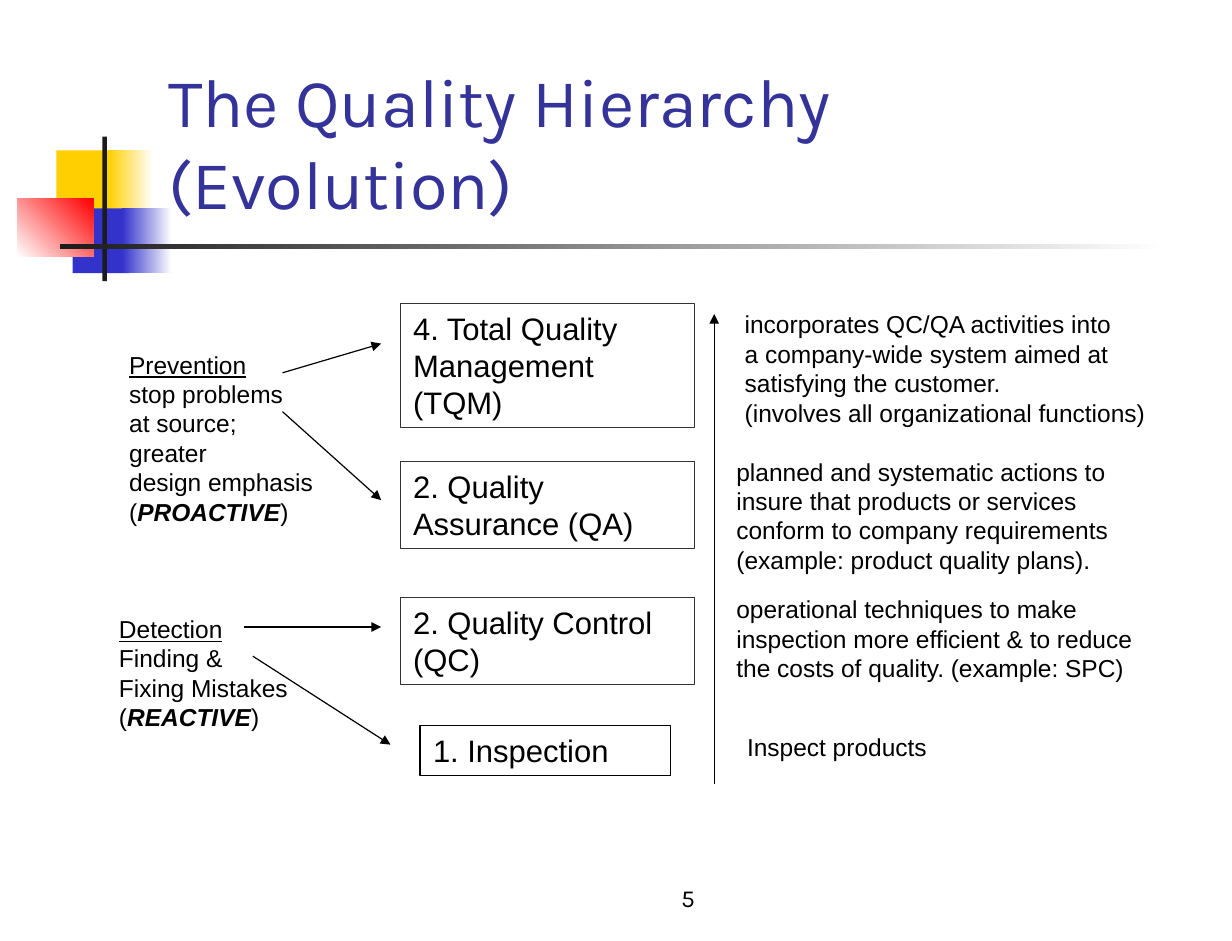
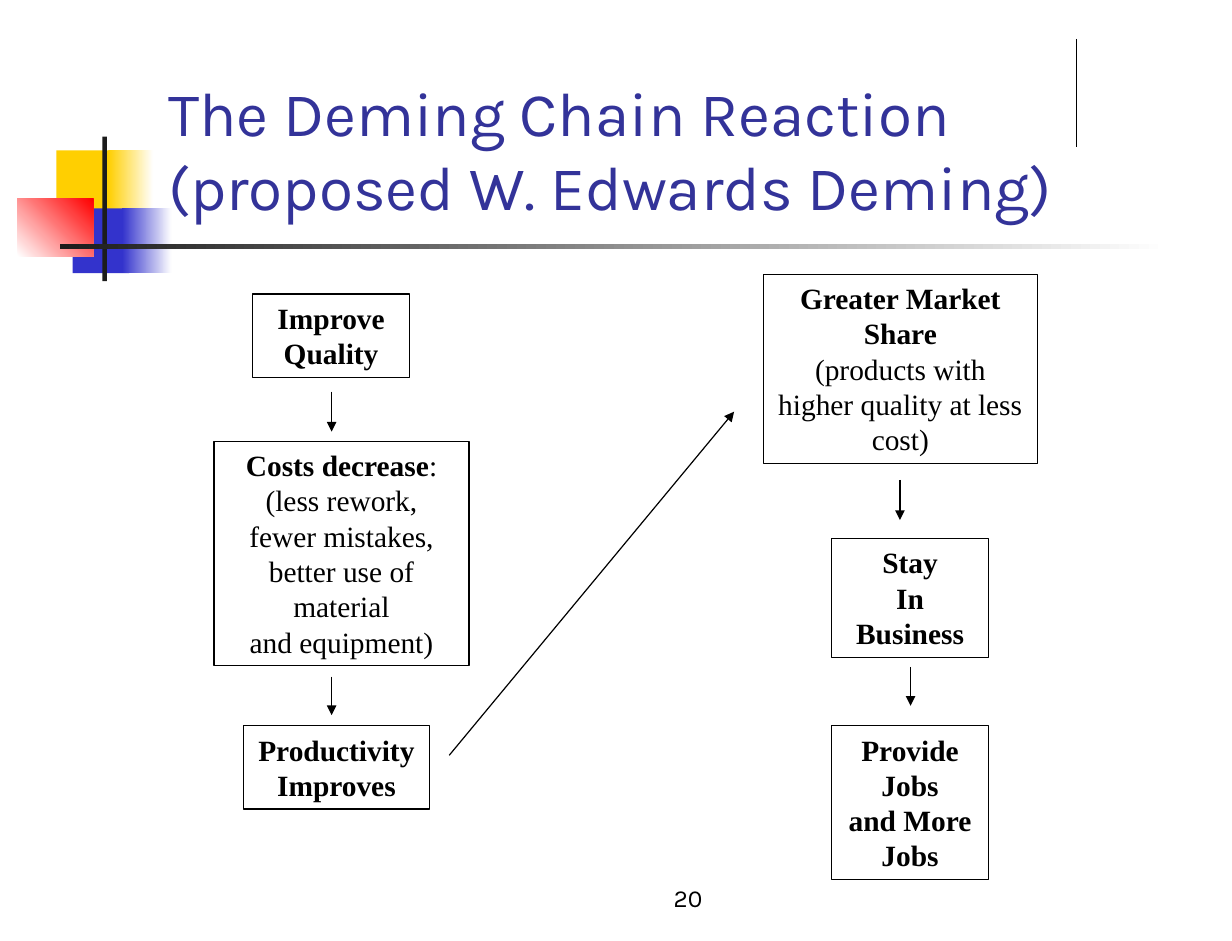
"""Build two slides on quality management: the quality hierarchy and the Deming chain."""
import dataclasses

import lxml.etree
import pptx
import pptx.dml.color
import pptx.enum.shapes
import pptx.enum.text
import pptx.oxml.ns
import pptx.util

Cm = pptx.util.Cm
ALIGN = pptx.enum.text.PP_ALIGN
ANCHOR = pptx.enum.text.MSO_ANCHOR
FIT = pptx.enum.text.MSO_AUTO_SIZE


@dataclasses.dataclass(frozen=True)
class Theme:
    """Colours, fonts and type sizes of the deck."""
    ink: str = "000000"
    outline: str = "333333"
    heading: str = "333399"
    bar: str = "1C1C1C"
    yellow: str = "FFCF01"
    blue: str = "3333CC"
    red: str = "FF0000"
    paper: str = "FFFFFF"
    heading_font: str = "Karla"
    body_font: str = "Arial"
    chain_font: str = "Times New Roman"
    hierarchy_title_size: int = 42
    chain_title_size: int = 38
    note_size: int = 15
    stage_size: int = 19
    chain_size: int = 18
    line_width: float = 0.75


@dataclasses.dataclass(frozen=True)
class Box:
    """A rectangle in centimetres."""
    left: float
    top: float
    width: float
    height: float

    def inner(self, x, y, width, height):
        """Return a box placed relative to this one."""
        return Box(self.left + x, self.top + y, width, height)

    def point(self, x, y):
        """Return a point placed relative to this box."""
        return self.left + x, self.top + y

    def lengths(self):
        """Return the four lengths for python-pptx."""
        return [Cm(value) for value in dataclasses.astuple(self)]


THEME = Theme()
PAGE = Box(0, 0, 26.6, 20.32)


def colour(code):
    """Return an RGB colour from its hexadecimal code."""
    return pptx.dml.color.RGBColor.from_string(code)


def write(frame, paragraphs, font=THEME.body_font, size=THEME.note_size, ink=THEME.ink,
          align=ALIGN.LEFT, anchor=ANCHOR.TOP, fit=FIT.SHAPE_TO_FIT_TEXT):
    """Fill a text frame; a paragraph is a string or a list of (text, 'biu' flags)."""
    frame.word_wrap, frame.auto_size, frame.vertical_anchor = True, fit, anchor
    frame.margin_left = frame.margin_right = Cm(0.28)
    frame.margin_top = frame.margin_bottom = Cm(0.13)
    for index, spans in enumerate(paragraphs):
        para = frame.paragraphs[0] if index == 0 else frame.add_paragraph()
        para.alignment = align
        for text, flags in [(spans, "")] if isinstance(spans, str) else spans:
            for row, line in enumerate(text.split("\n")):
                if row:
                    para.add_line_break()
                span = para.add_run()
                span.text = line
                span.font.name, span.font.size = font, pptx.util.Pt(size)
                span.font.color.rgb = colour(ink)
                span.font.bold, span.font.italic = "b" in flags, "i" in flags
                span.font.underline = "u" in flags


def add_text(page, box, paragraphs, **style):
    """Add a text box."""
    write(page.shapes.add_textbox(*box.lengths()).text_frame, paragraphs, **style)


def add_rectangle(page, box):
    """Add a rectangle without shadow."""
    shape = page.shapes.add_shape(pptx.enum.shapes.MSO_SHAPE.RECTANGLE, *box.lengths())
    shape.shadow.inherit = False
    return shape


def add_framed_text(page, box, paragraphs, outline=THEME.ink, **style):
    """Add an outlined rectangle that holds text."""
    shape = add_rectangle(page, box)
    shape.fill.background()
    shape.line.color.rgb = colour(outline)
    shape.line.width = pptx.util.Pt(THEME.line_width)
    write(shape.text_frame, paragraphs, **style)


def add_patch(page, box, start, end=None, angle=0):
    """Add a plain or gradient rectangle without outline."""
    shape = add_rectangle(page, box)
    shape.line.fill.background()
    if end is None:
        shape.fill.solid()
        shape.fill.fore_color.rgb = colour(start)
        return
    shape.fill.gradient()
    shape.fill.gradient_angle = angle
    for stop, code in zip(shape.fill.gradient_stops, (start, end)):
        stop.color.rgb = colour(code)


def add_line(page, start, end, arrow=True):
    """Add a straight line, with an arrowhead at its end if wanted."""
    ends = [Cm(value) for value in (*start, *end)]
    line = page.shapes.add_connector(pptx.enum.shapes.MSO_CONNECTOR.STRAIGHT, *ends)
    line.line.color.rgb = colour(THEME.ink)
    line.line.width = pptx.util.Pt(THEME.line_width)
    properties = line.element.spPr
    if arrow:
        outline = properties.find(pptx.oxml.ns.qn("a:ln"))
        lxml.etree.SubElement(outline, pptx.oxml.ns.qn("a:tailEnd"), type="triangle")
    lxml.etree.SubElement(properties, pptx.oxml.ns.qn("a:effectLst"))


def draw_emblem(page, box):
    """Draw the coloured squares and the crossing bars beside the title."""
    add_patch(page, box.inner(0.84, 0.3, 1.27, 1.4), THEME.yellow)
    add_patch(page, box.inner(1.96, 0.3, 0.97, 1.4), THEME.yellow, THEME.paper)
    add_patch(page, box.inner(1.19, 1.55, 1.22, 1.4), THEME.blue)
    add_patch(page, box.inner(2.26, 1.55, 1.07, 1.4), THEME.blue, THEME.paper)
    add_patch(page, box.inner(0, 1.34, 1.63, 1.25), THEME.paper, THEME.red, angle=45)
    add_patch(page, box.inner(1.83, 0, 0.1, box.height), THEME.bar)
    add_patch(page, box.inner(0.91, 2.33, box.width - 0.91, 0.1), THEME.bar, THEME.paper)


def add_page(deck, box, title, title_size, number):
    """Add a slide with emblem, title and page number."""
    page = deck.slides.add_slide(deck.slide_layouts[5])
    draw_emblem(page, box.inner(0.38, 2.95, 24.84, 3.12))
    heading = page.shapes.title
    heading.left, heading.top, heading.width, heading.height = box.inner(
        3.35, 1.9, 22.66, 3.05).lengths()
    write(heading.text_frame, [title], font=THEME.heading_font, size=title_size,
          ink=THEME.heading, anchor=ANCHOR.BOTTOM, fit=FIT.NONE)
    heading.element.getparent().append(heading.element)
    add_text(page, box.inner(10.64, 18.49, 8.43, 1.35), [number], font=THEME.heading_font,
             align=ALIGN.CENTER, anchor=ANCHOR.BOTTOM, fit=FIT.NONE)
    return page


def draw_stages(page, box):
    """Draw the stages of quality from the top down."""
    style = {"size": THEME.stage_size}
    stages = [
        (0, 2.69, ["4. Total Quality Management (TQM)"]),
        (3.41, 1.88, ["2. Quality Assurance (QA)"]),
        (6.35, 1.88, ["2. Quality Control", "(QC)"]),
    ]
    for top, height, lines in stages:
        add_framed_text(page, box.inner(0, top, box.width, height), lines,
                        outline=THEME.outline, **style)
    add_framed_text(page, box.inner(0.43, 9.12, 5.41, 1.07), ["1. Inspection"], **style)


def draw_descriptions(page, box):
    """Draw the rising arrow and the explanation of each stage."""
    add_line(page, box.point(0, box.height), box.point(0, 0.23))
    descriptions = [
        (0.38, 0, 9.6, 2.82, ["incorporates QC/QA activities into",
                              "a company-wide system aimed at",
                              "satisfying the customer.",
                              "(involves all organizational functions)"]),
        (0.2, 3.18, 9, 2.82, ["planned and systematic actions to",
                              "insure that products or services",
                              "conform to company requirements",
                              "(example: product quality plans)."]),
        (0.2, 6.15, 9.5, 2.18, ["operational techniques to make",
                                "inspection more efficient & to reduce",
                                "the costs of quality. (example: SPC)"]),
        (0.43, 9.12, 4.8, 0.91, ["Inspect products"]),
    ]
    for *place, lines in descriptions:
        add_text(page, box.inner(*place), lines)


def draw_approach(page, box, name, lines, label, arrows):
    """Draw one approach to quality with arrows to the stages it covers."""
    closing = [("(", ""), (label, "bi"), (")", "")]
    add_text(page, box, [[(name, "u")], *lines, closing])
    for start, end in arrows:
        add_line(page, box.point(*start), box.point(*end))


def draw_chain(page, box, steps, arrows):
    """Draw one column of the chain, with the arrows between its steps."""
    for *place, lines in steps:
        add_framed_text(page, box.inner(*place), lines, font=THEME.chain_font,
                        size=THEME.chain_size, align=ALIGN.CENTER)
    for x, top, bottom in arrows:
        add_line(page, box.point(x, top), box.point(x, bottom))


def build_hierarchy(deck, box):
    """Build the slide on the quality hierarchy."""
    page = add_page(deck, box, "The Quality Hierarchy\n(Evolution)",
                    THEME.hierarchy_title_size, "5")
    draw_stages(page, box.inner(8.64, 6.55, 6.35, 10.19))
    draw_descriptions(page, box.inner(15.42, 6.55, 9.98, 10.39))
    draw_approach(page, box.inner(2.51, 7.42, 5.72, 4.09), "Prevention",
                  ["stop problems", "at source;", "greater", "design emphasis"], "PROACTIVE",
                  [((3.59, 0.63), (5.72, 0)), ((3.59, 1.47), (5.72, 3.38))])
    draw_approach(page, box.inner(2.29, 13.13, 5.72, 2.82), "Detection",
                  ["Finding &", "Fixing Mistakes"], "REACTIVE",
                  [((2.97, 0.41), (5.94, 0.41)), ((3.17, 1.04), (6.14, 2.95))])


def build_chain_reaction(deck, box):
    """Build the slide on the Deming chain reaction."""
    page = add_page(deck, box, "The Deming Chain Reaction\n(proposed W. Edwards Deming)",
                    THEME.chain_title_size, "20")
    causes = [
        (0.84, 0, 3.38, 1.8, [[("Improve", "b")], [("Quality", "b")]]),
        (0, 3.18, 5.51, 4.85, [[("Costs decrease", "b"), (":", "")], "(less rework,",
                               "fewer mistakes,", "better use of material",
                               "and equipment)"]),
        (0.64, 9.32, 4.01, 1.8, [[("Productivity", "b")], [("Improves", "b")]]),
    ]
    draw_chain(page, box.inner(4.62, 6.35, 5.51, 11.12), causes,
               [(2.54, 2.11, 2.97), (2.54, 8.26, 9.09)])
    results = [
        (0, 0, 5.92, 4.09, [[("Greater Market", "b")], [("Share", "b")],
                            "(products with higher quality at less cost)"]),
        (1.48, 5.71, 3.38, 2.57, [[("Stay", "b")], [("In", "b")], [("Business", "b")]]),
        (1.48, 9.75, 3.38, 3.33, [[("Provide Jobs", "b")], [("and More Jobs", "b")]]),
    ]
    draw_chain(page, box.inner(16.48, 5.92, 5.92, 13.08), results,
               [(2.95, 4.44, 5.31), (3.18, 8.48, 9.32)])
    add_line(page, box.point(9.7, 16.31), box.point(15.85, 8.89))
    add_line(page, box.point(23.24, 0.84), box.point(23.24, 3.18), arrow=False)


def main():
    """Build and save the deck."""
    deck = pptx.Presentation()
    deck.slide_width, deck.slide_height = Cm(PAGE.width), Cm(PAGE.height)
    build_hierarchy(deck, PAGE)
    build_chain_reaction(deck, PAGE)
    deck.save("out.pptx")


if __name__ == "__main__":
    main()
